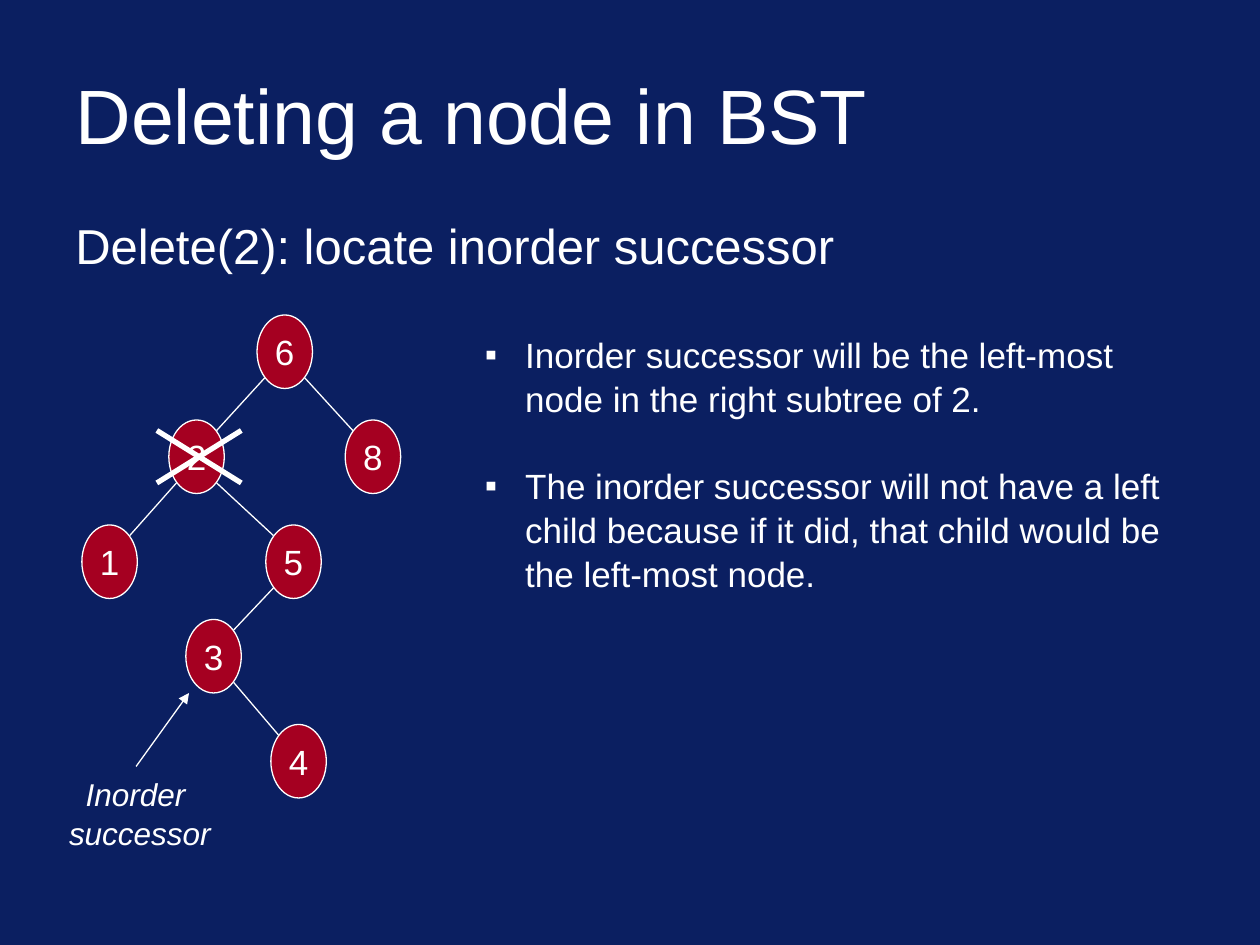
from pptx import Presentation
from pptx import util as u
from pptx.dml.color import RGBColor
from pptx.enum import shapes, text
from lxml import etree

NAVY, RED, WHITE = "0B1F61", "A50021", "FFFFFF"
NS = "http://schemas.openxmlformats.org/drawingml/2006/main"
WIDE, HIGH = u.Inches(10), u.Inches(7.5)
COL, ROW = WIDE / 100, HIGH / 90

NODES = {  # centre of each node: columns, rows within the tree
    "6": (20.1, 3.5), "2": (13.1, 13.5), "8": (27.1, 13.5), "1": (6.2, 23.5),
    "5": (20.8, 23.5), "3": (14.45, 32.5), "4": (21.2, 42.5),
}
EDGES = ["62", "68", "21", "25", "53", "34"]
NOTES = [
    "Inorder successor will be the left-most node in the right subtree of 2.",
    "The inorder successor will not have a left child because if it did, "
    "that child would be the left-most node.",
]


def paint(hue):
    return RGBColor.from_string(hue)


def grid(x, y):
    return round(x * COL), round(y * ROW)


def add(parent, tag, **attrs):
    return etree.SubElement(parent, f"{{{NS}}}{tag}", **attrs)


def style(par, size, align=text.PP_ALIGN.LEFT, slant=None):
    par.alignment = align
    for run in par.runs:
        font = run.font
        font.name, font.size, font.italic = "Arial", u.Pt(size), slant
        font.color.rgb = paint(WHITE)


def frame(slide, box):
    x, y, w, h = box
    tf = slide.shapes.add_textbox(*grid(x, y), *grid(w, h)).text_frame
    tf.word_wrap = True
    return tf


def line(slide, start, end, width=0.75, arrow=False):
    link = slide.shapes.add_connector(
        shapes.MSO_CONNECTOR.STRAIGHT, *grid(*start), *grid(*end))
    link.line.color.rgb = paint(WHITE)
    link.line.width = u.Pt(width)
    if arrow:
        add(link.line._get_or_add_ln(), "tailEnd", type="triangle")
    add(link._element.spPr, "effectLst")


def node(slide, label, x, y):
    w, h = 4.4, 7
    oval = slide.shapes.add_shape(
        shapes.MSO_SHAPE.OVAL, *grid(x - w / 2, y - h / 2), *grid(w, h))
    oval.shadow.inherit = False
    oval.fill.solid()
    oval.fill.fore_color.rgb = paint(RED)
    oval.line.color.rgb = paint(WHITE)
    oval.line.width = u.Pt(0.75)
    tf = oval.text_frame
    tf.margin_left = tf.margin_right = tf.margin_top = tf.margin_bottom = 0
    tf.vertical_anchor = text.MSO_ANCHOR.MIDDLE
    tf.text = label
    style(tf.paragraphs[0], 20, text.PP_ALIGN.CENTER)


def heading(slide, box):
    x, y, w, h = box
    title = slide.shapes.title
    title.left, title.top = grid(x, y)
    title.width, title.height = grid(w, h)
    tf = title.text_frame
    tf.vertical_anchor = text.MSO_ANCHOR.MIDDLE
    tf.text = "Deleting a node in BST"
    style(tf.paragraphs[0], 44)


def lead(slide, box):
    tf = frame(slide, box)
    tf.text = "Delete(2): locate inorder successor"
    par = tf.paragraphs[0]
    par.line_spacing, par.space_before = 0.8, u.Pt(7)
    style(par, 28)


def tree(slide, left, top):
    spots = {key: (left + x, top + y) for key, (x, y) in NODES.items()}
    for key, spot in spots.items():
        node(slide, key, *spot)
    for above, below in EDGES:
        (ax, ay), (bx, by) = spots[above], spots[below]
        dx = 1.6 if bx > ax else -1.6
        line(slide, (ax + dx, ay + 2.5), (bx - dx, by - 2.5))
    x, y = spots["2"]
    x += 0.2
    for dy in (2.5, -2.5):
        line(slide, (x - 3.35, y + dy), (x + 3.35, y - dy), 3)
    tf = frame(slide, (left, top + 43, 17.2, 8.4))
    tf.text = "Inorder \vsuccessor"
    par = tf.paragraphs[0]
    par.line_spacing = 1.05
    style(par, 18, text.PP_ALIGN.CENTER, True)
    line(slide, (left + 8.3, top + 43), (left + 12.5, top + 36), arrow=True)


def notes(slide, box):
    tf = frame(slide, box)
    tf.text = "\n".join(NOTES)
    for i, par in enumerate(tf.paragraphs):
        par.line_spacing = 1.05
        par.space_before = u.Pt(24.2 * i)
        style(par, 20)
        props = par._p.get_or_add_pPr()
        indent = u.Inches(0.32)
        props.set("marL", str(indent))
        props.set("indent", str(-indent))
        add(add(props, "buClr"), "srgbClr", val=WHITE)
        add(props, "buFont", typeface="Arial")
        add(props, "buChar", char="▪")


def main():
    deck = Presentation()
    deck.slide_width, deck.slide_height = WIDE, HIGH
    slide = deck.slides.add_slide(deck.slide_layouts.get_by_name("Title Only"))
    back = slide.background.fill
    back.solid()
    back.fore_color.rgb = paint(NAVY)
    heading(slide, (5, 4.8, 90, 12))
    lead(slide, (5, 21, 90, 6))
    tree(slide, 2.5, 30)
    notes(slide, (37.5, 31, 57.4, 25.2))
    deck.save("out.pptx")


if __name__ == "__main__":
    main()
